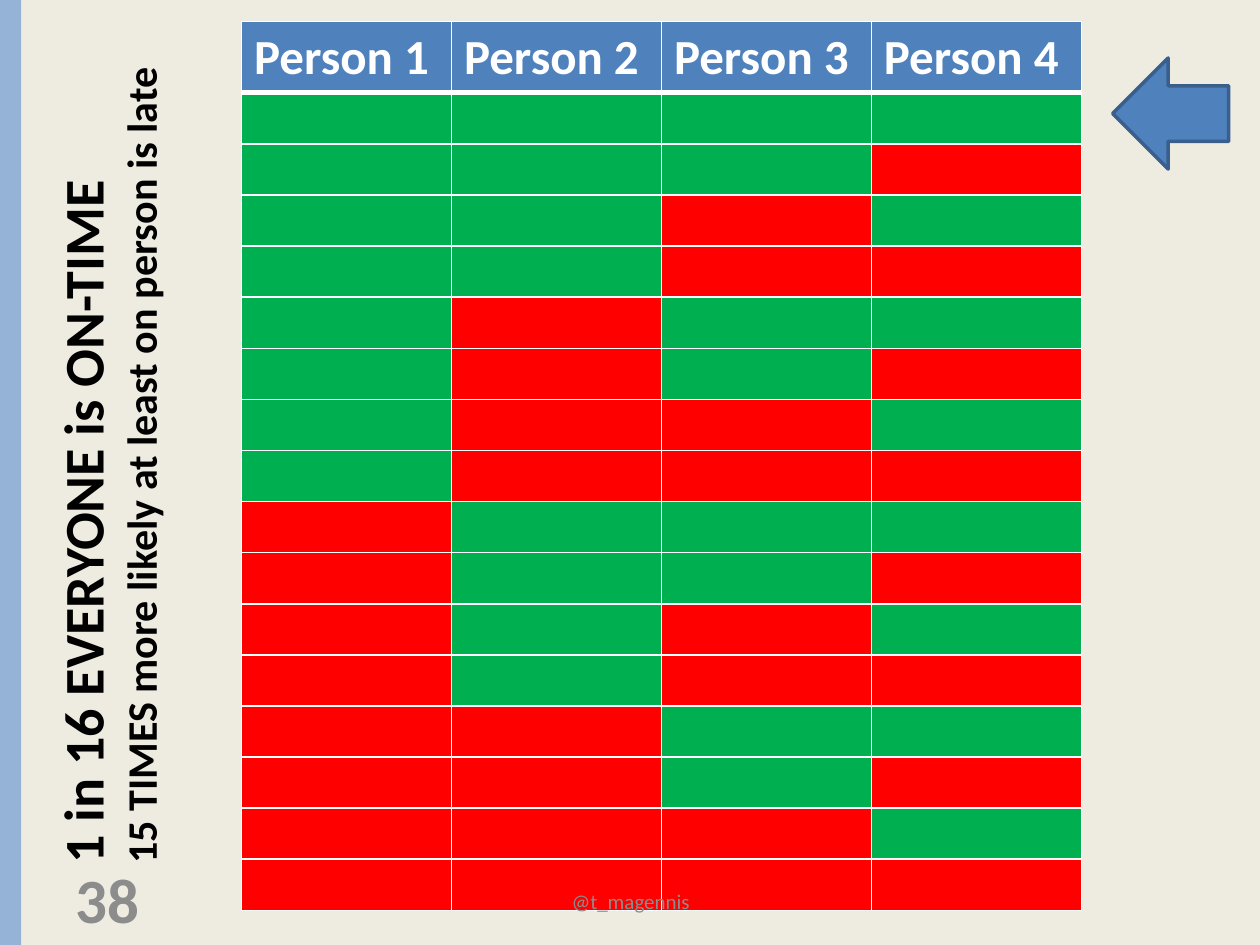
from itertools import product

from lxml import etree
from pptx import Presentation
from pptx.dml.color import RGBColor
from pptx.enum.shapes import MSO_SHAPE
from pptx.enum.text import MSO_ANCHOR, MSO_AUTO_SIZE, PP_ALIGN
from pptx.oxml.ns import qn
from pptx.util import Cm, Pt

RECTANGLE, LEFT_ARROW = MSO_SHAPE.RECTANGLE, MSO_SHAPE.LEFT_ARROW
TOP, MIDDLE = MSO_ANCHOR.TOP, MSO_ANCHOR.MIDDLE
LEFT, CENTER = PP_ALIGN.LEFT, PP_ALIGN.CENTER
GROW = MSO_AUTO_SIZE.SHAPE_TO_FIT_TEXT

FONT = "Calibri"
ON_TIME, LATE = "00B050", "FF0000"
BLUE, WHITE, GREY, BLACK = "4F81BD", "FFFFFF", "8C8C8C", "000000"
PEOPLE = 4


def rgb(color):
    return RGBColor.from_string(color)


def format_paragraph(paragraph, size, color, bold):
    for run in paragraph.runs:
        run.font.name = FONT
        run.font.size = Pt(size)
        run.font.bold = bold
        run.font.color.rgb = rgb(color)


def add_block(slide, preset, box, fill, line=None):
    block = slide.shapes.add_shape(preset, *map(Cm, box))
    block.shadow.inherit = False
    block.fill.solid()
    block.fill.fore_color.rgb = rgb(fill)
    if line:
        block.line.color.rgb = rgb(line)
        block.line.width = Pt(2)
    else:
        block.line.fill.background()


def add_text(slide, box, lines, color, bold=True, align=LEFT, anchor=MIDDLE):
    """Add a text box; lines holds (text, size) pairs."""
    label = slide.shapes.add_textbox(*map(Cm, box))
    frame = label.text_frame
    frame.word_wrap = True
    frame.vertical_anchor = anchor
    frame.text = "\n".join(text for text, _ in lines)
    for paragraph, (_, size) in zip(frame.paragraphs, lines):
        paragraph.alignment = align
        format_paragraph(paragraph, size, color, bold)
    return label


def set_borders(cell, top=1, bottom=1):
    properties = cell._tc.get_or_add_tcPr()
    widths = {"a:lnL": 1, "a:lnR": 1, "a:lnT": top, "a:lnB": bottom}
    for position, (side, width) in enumerate(widths.items()):
        border = etree.Element(qn(side), w=str(Pt(width)))
        fill = etree.SubElement(border, qn("a:solidFill"))
        etree.SubElement(fill, qn("a:srgbClr"), val=WHITE)
        properties.insert(position, border)


def fill_cell(cell, color):
    cell.fill.solid()
    cell.fill.fore_color.rgb = rgb(color)


def add_outcomes(slide):
    outcomes = list(product((ON_TIME, LATE), repeat=PEOPLE))
    header_height, row_height = 1.43, 1.03
    height = header_height + row_height * len(outcomes)
    table = slide.shapes.add_table(
        len(outcomes) + 1, PEOPLE, Cm(4.87), Cm(0.43), Cm(16.93), Cm(height)
    ).table
    for row in table.rows:
        row.height = Cm(row_height)
    table.rows[0].height = Cm(header_height)

    # Header
    for person in range(PEOPLE):
        cell = table.cell(0, person)
        cell.text = f"Person {person + 1}"
        format_paragraph(cell.text_frame.paragraphs[0], 28, WHITE, True)
        fill_cell(cell, BLUE)
        set_borders(cell, bottom=3)

    # Every combination of on time and late
    for row, outcome in enumerate(outcomes, start=1):
        for person, color in enumerate(outcome):
            cell = table.cell(row, person)
            fill_cell(cell, color)
            set_borders(cell, top=3 if row == 1 else 1)


def main():
    deck = Presentation()
    deck.slide_width, deck.slide_height = Cm(25.4), Cm(19.05)
    slide = deck.slides.add_slide(deck.slide_layouts[6])
    slide.background.fill.solid()
    slide.background.fill.fore_color.rgb = rgb("EEECE1")

    # Side band and slide number
    add_block(slide, RECTANGLE, (0, 0, 0.43, 19.05), "95B3D7")
    add_text(slide, (1.27, 17.6, 5.92, 1.02), [("38", 36)], GREY)

    add_outcomes(slide)

    # Sideways headline
    headline = add_text(
        slide, (-6.2, 7.98, 16.71, 2.64),
        [("1 in 16 EVERYONE is ON-TIME", 32),
         ("15 TIMES more likely at least on person is late", 24)],
        BLACK, anchor=TOP)
    headline.rotation = 270
    headline.text_frame.word_wrap = False
    headline.text_frame.auto_size = GROW

    # Arrow to the only row with everyone on time
    add_block(slide, LEFT_ARROW, (22.43, 1.17, 2.34, 2.24), BLUE, "3A5F8C")

    # Footer
    add_text(slide, (8.69, 17.65, 8.05, 1.02), [("@t_magennis", 12)],
             GREY, bold=False, align=CENTER)

    deck.save("out.pptx")


if __name__ == "__main__":
    main()
